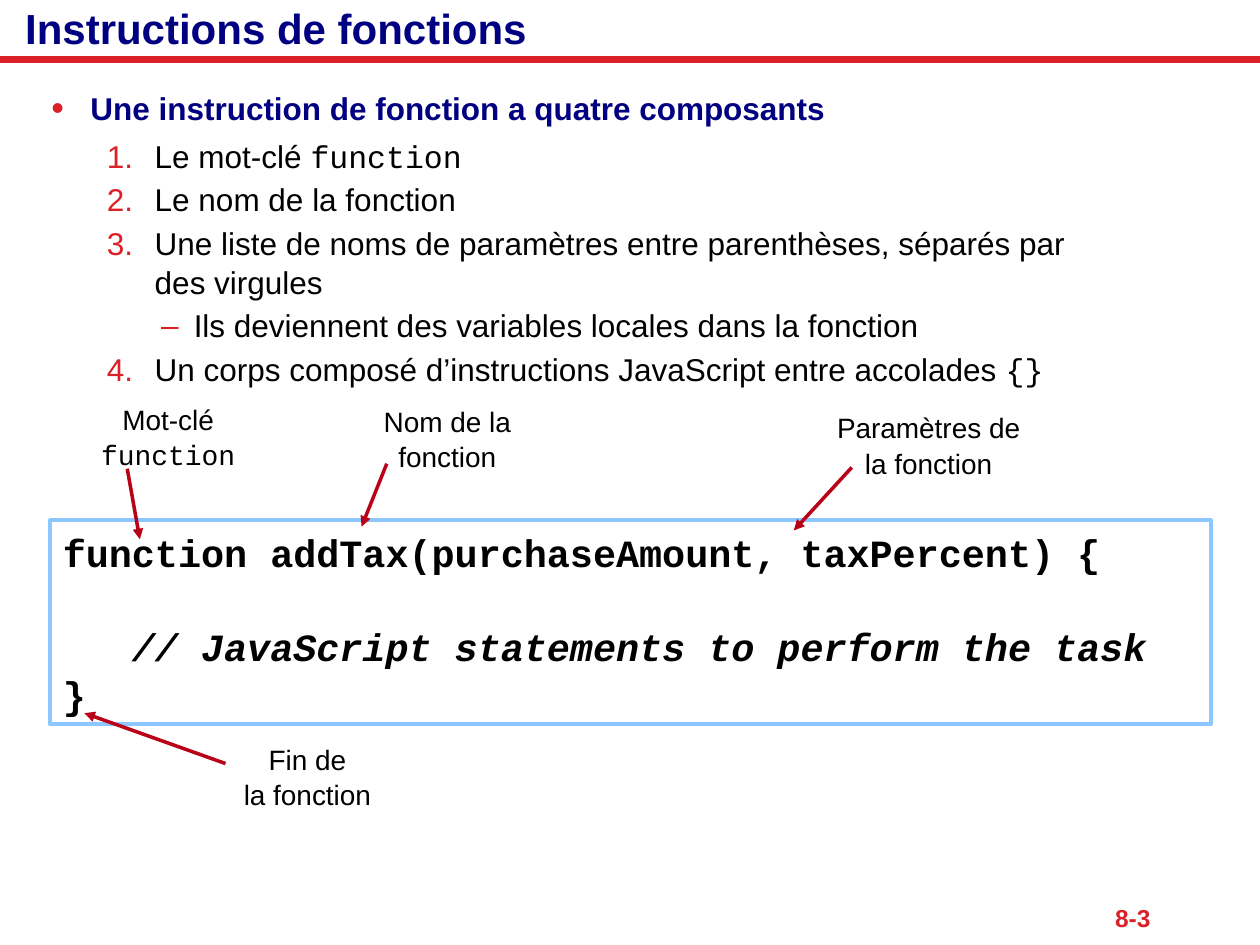
from dataclasses import dataclass

from lxml.etree import SubElement
from pptx import Presentation
from pptx.dml.color import RGBColor
from pptx.enum.shapes import MSO_CONNECTOR, MSO_SHAPE
from pptx.enum.text import MSO_ANCHOR, PP_ALIGN
from pptx.oxml.ns import qn
from pptx.util import Inches, Pt

SANS, MONO = "Arial", "Courier New"
NAVY, RED, DARK_RED, BLUE, BLACK = "000080", "DA2128", "B90117", "8CC8FF", "000000"


@dataclass
class Item:
    text: str
    bullet: str
    margin: float
    indent: float
    code: str = ""
    color: str = BLACK
    bold: bool = False
    after: float = 0
    bullet_size: int = 100


@dataclass
class Label:
    left: float
    top: float
    width: float
    height: float
    text: str
    code: str = ""


@dataclass
class Arrow:
    start: tuple[float, float]
    end: tuple[float, float]


ITEMS = [
    Item("Une instruction de fonction a quatre composants", "•", 0.31, -0.31,
         color=NAVY, bold=True, after=3, bullet_size=115),
    Item("Le mot-clé ", "1.", 0.82, -0.38, code="function"),
    Item("Le nom de la fonction", "1.", 0.82, -0.38),
    Item("Une liste de noms de paramètres entre parenthèses, séparés par\ndes virgules",
         "1.", 0.82, -0.38),
    Item("Ils deviennent des variables locales dans la fonction", "–", 1.13, -0.26),
    Item("Un corps composé d’instructions JavaScript entre accolades ", "1.",
         0.82, -0.38, code="{}"),
]
LABELS = [
    Label(0.55, 3.13, 1.57, 0.54, "Mot-clé\n", "function"),
    Label(2.94, 3.15, 1.22, 0.69, "Nom de la fonction"),
    Label(6.35, 3.2, 2.04, 0.67, "Paramètres de\nla fonction"),
    Label(1.8, 5.83, 1.28, 0.69, "Fin de\nla fonction"),
]
ARROWS = [
    Arrow((1.01, 3.72), (1.11, 4.28)),
    Arrow((3.07, 3.68), (2.87, 4.18)),
    Arrow((6.76, 3.71), (6.3, 4.21)),
    Arrow((1.79, 6.06), (0.67, 5.66)),
]


def rgb(color: str) -> RGBColor:
    """Turn a hex string into a colour."""
    return RGBColor.from_string(color)


def add_text(para, text: str, *, size: float, font: str = SANS, color: str = BLACK,
             bold: bool = False, italic: bool = False) -> None:
    """Append formatted text to a paragraph, breaking lines at newlines."""
    for number, line in enumerate(text.split("\n")):
        if number:
            para.add_line_break()
            SubElement(para._p[-1], qn("a:rPr"), sz=str(size * 100))
        if line:
            span = para.add_run()
            span.text = line
            span.font.name, span.font.size = font, Pt(size)
            span.font.bold, span.font.italic = bold, italic
            span.font.color.rgb = rgb(color)


def add_box(page, left: float, top: float, width: float, height: float,
            anchor=MSO_ANCHOR.TOP, margins=(0.1, 0.05, 0.1, 0.05)):
    """Add a wrapping text box and return its text frame."""
    frame = page.shapes.add_textbox(
        Inches(left), Inches(top), Inches(width), Inches(height)).text_frame
    frame.word_wrap, frame.vertical_anchor = True, anchor
    (frame.margin_left, frame.margin_top,
     frame.margin_right, frame.margin_bottom) = map(Inches, margins)
    return frame


def next_para(frame, number: int, before: float = 0):
    """Return the paragraph to fill, spaced from the one above it."""
    para = frame.add_paragraph() if number else frame.paragraphs[0]
    para.line_spacing = 1.05
    para.space_before = Pt(before if number else 0)
    return para


def add_line(page, start: tuple[float, float], end: tuple[float, float],
             color: str, width: float, arrow: bool = False) -> None:
    """Draw a straight line, with an arrowhead at its end if wanted."""
    line = page.shapes.add_connector(
        MSO_CONNECTOR.STRAIGHT, *map(Inches, start + end))
    line.line.color.rgb, line.line.width = rgb(color), Pt(width)
    if arrow:
        SubElement(line.line._get_or_add_ln(), qn("a:tailEnd"), type="triangle")
    SubElement(line._element.spPr, qn("a:effectLst"))


def add_bullet(para, item: Item) -> None:
    """Give a paragraph its hanging indent and red bullet or number."""
    props = para._p.get_or_add_pPr()
    props.set("marL", str(Inches(item.margin)))
    props.set("indent", str(Inches(item.indent)))
    SubElement(SubElement(props, qn("a:buClr")), qn("a:srgbClr"), val=RED)
    SubElement(props, qn("a:buSzPct"), val=str(item.bullet_size * 1000))
    SubElement(props, qn("a:buFont"), typeface=SANS)
    if item.bullet == "1.":
        SubElement(props, qn("a:buAutoNum"), type="arabicPeriod")
    else:
        SubElement(props, qn("a:buChar"), char=item.bullet)


def add_list(page) -> None:
    """Write the list of the four components."""
    frame = add_box(page, 0.31, 0.64, 9.4, 2.4)
    for number, item in enumerate(ITEMS):
        para = next_para(frame, number, before=2)
        para.space_after = Pt(item.after)
        para.level = {"•": 0, "1.": 1, "–": 2}[item.bullet]
        add_bullet(para, item)
        add_text(para, item.text, size=18, color=item.color, bold=item.bold)
        add_text(para, item.code, size=18, font=MONO)


def add_code(page) -> None:
    """Draw the framed code sample."""
    panel = page.shapes.add_shape(
        MSO_SHAPE.RECTANGLE, Inches(0.4), Inches(4.13), Inches(9.21), Inches(1.62))
    panel.shadow.inherit = False
    panel.fill.background()
    panel.line.color.rgb, panel.line.width = rgb(BLUE), Pt(2.25)
    frame = panel.text_frame
    frame.word_wrap, frame.vertical_anchor = True, MSO_ANCHOR.TOP
    lines = [
        ("function addTax(purchaseAmount, taxPercent) {", 0, False),
        ("   // JavaScript statements to perform the task", 26, True),
        ("}", 0, False),
    ]
    for number, (text, before, italic) in enumerate(lines):
        para = next_para(frame, number, before)
        para.alignment = PP_ALIGN.LEFT
        add_text(para, text, size=22, font=MONO, bold=True, italic=italic)


def add_label(page, label: Label) -> None:
    """Write one centred label for a part of the code."""
    para = next_para(add_box(page, label.left, label.top, label.width, label.height), 0)
    para.alignment = PP_ALIGN.CENTER
    add_text(para, label.text, size=16)
    add_text(para, label.code, size=16, font=MONO)


def main() -> None:
    """Build the slide and save it."""
    deck = Presentation()
    deck.slide_width, deck.slide_height = Inches(10), Inches(7.5)
    page = deck.slides.add_slide(deck.slide_layouts[6])

    number = add_box(page, 7.85, 7.11, 1.38, 0.34, MSO_ANCHOR.MIDDLE, (0, 0.05, 0.1, 0.05))
    number.paragraphs[0].alignment = PP_ALIGN.RIGHT
    add_text(number.paragraphs[0], "8-3", size=14, color=RED, bold=True)
    add_line(page, (0, 0.47), (10, 0.47), RED, 4)
    add_list(page)
    title = add_box(page, 0, 0, 10, 0.44, MSO_ANCHOR.MIDDLE, (0.2, 0, 0.1, 0))
    add_text(title.paragraphs[0], "Instructions de fonctions", size=24, color=NAVY, bold=True)
    add_code(page)
    for label in LABELS:
        add_label(page, label)
    for arrow in ARROWS:
        add_line(page, arrow.start, arrow.end, DARK_RED, 2, arrow=True)
    deck.save("out.pptx")


if __name__ == "__main__":
    main()
